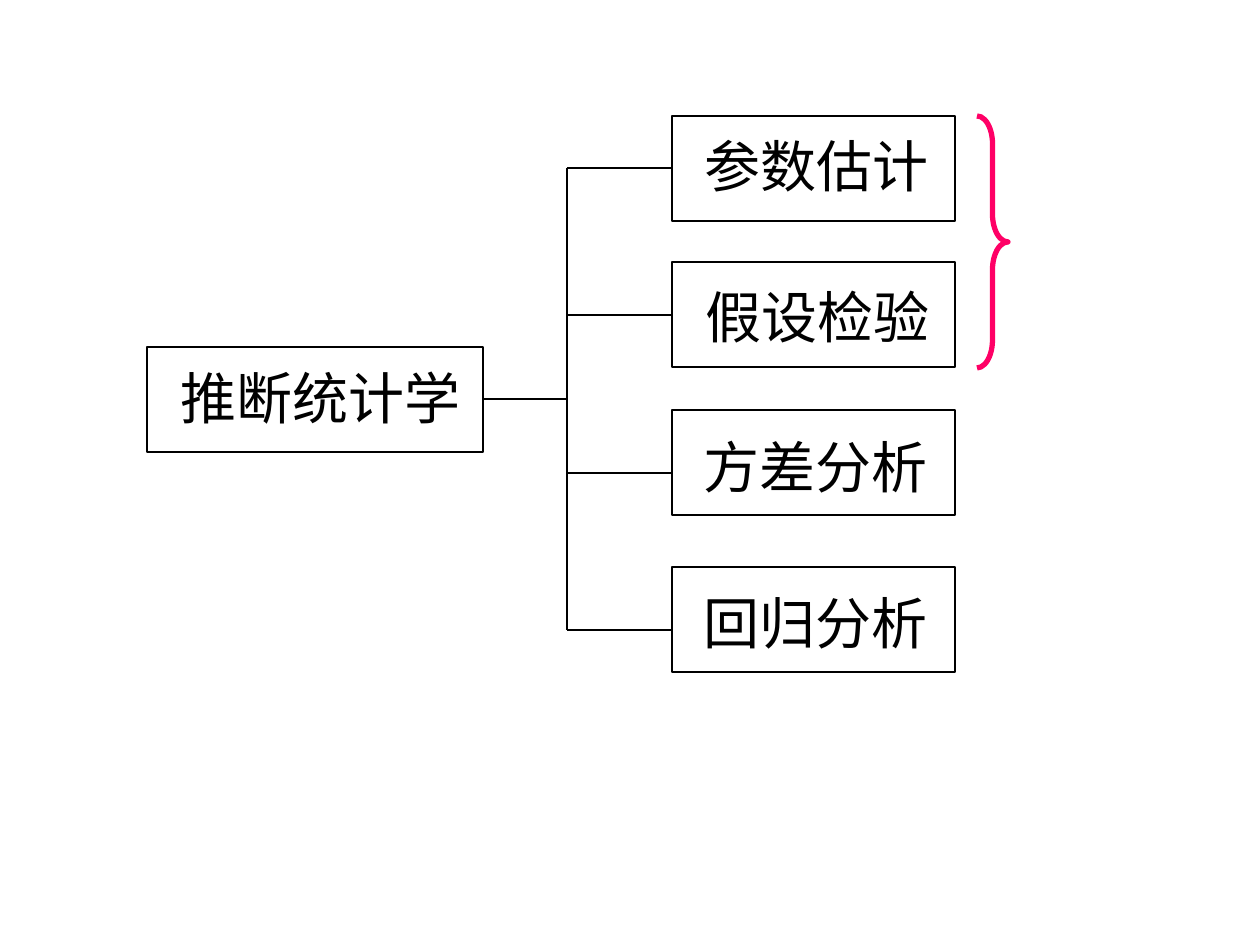
from dataclasses import dataclass
from pptx import Presentation
from pptx.dml.color import RGBColor
from pptx.enum.shapes import MSO_CONNECTOR as CONN, MSO_SHAPE as SHAPE
from pptx.enum.text import MSO_AUTO_SIZE as AUTO
from pptx.oxml.ns import qn
from pptx.util import Emu, Pt
from lxml.etree import SubElement


@dataclass(frozen=True)
class Theme:
    ink: RGBColor = RGBColor(0, 0, 0)
    accent: RGBColor = RGBColor(0xFF, 0x00, 0x66)
    font: str = "Times New Roman"
    size: float = 32
    thin: float = 0.74
    thick: float = 3


THEME = Theme()
SCALE = 914400 // 126
ROOT = ("推断统计学", (147, 347, 336, 105), (168, 357, 308, 81))
BRANCH_LEFT, BRANCH_W, BRANCH_H = 672, 283, 105
LABEL_W, LABEL_H = 252, 81
BRANCHES = [
    ("参数估计", 116, (692, 125), 168),
    ("假设检验", 262, (693, 276), 315),
    ("方差分析", 410, (691, 426), 473),
    ("回归分析", 567, (691, 582), 630),
]
TRUNK_X, ROOT_Y = 567, 399


def px(*values):
    return [Emu(v * SCALE) for v in values]


def outline(sp, color, width):
    sp.line.color.rgb = color
    sp.line.width = Pt(width)


def add_outline(slide, kind, box, color, width):
    sp = slide.shapes.add_shape(kind, *px(*box))
    sp.shadow.inherit = False
    sp.fill.background()
    outline(sp, color, width)
    return sp


def add_label(slide, text, box):
    tf = slide.shapes.add_textbox(*px(*box)).text_frame
    tf.word_wrap = False
    tf.auto_size = AUTO.SHAPE_TO_FIT_TEXT
    r = tf.paragraphs[0].add_run()
    r.text = text
    r.font.name = THEME.font
    r.font.size = Pt(THEME.size)
    r.font.color.rgb = THEME.ink


def add_node(slide, text, box, label_box):
    add_label(slide, text, label_box)
    add_outline(slide, SHAPE.RECTANGLE, box, THEME.ink, THEME.thin)


def add_line(slide, x1, y1, x2, y2):
    line = slide.shapes.add_connector(CONN.STRAIGHT, *px(x1, y1, x2, y2))
    outline(line, THEME.ink, THEME.thin)
    SubElement(line._element.spPr, qn("a:effectLst"))


def add_brace(slide, box):
    brace = add_outline(slide, SHAPE.RIGHT_BRACE, box, THEME.accent, THEME.thick)
    brace.adjustments[0] = 0.9


def main():
    prs = Presentation()
    prs.slide_width, prs.slide_height = px(1260, 945)
    slide = prs.slides.add_slide(prs.slide_layouts[6])

    for text, top, label_at, y in BRANCHES:
        add_node(slide, text, (BRANCH_LEFT, top, BRANCH_W, BRANCH_H),
                 (*label_at, LABEL_W, LABEL_H))
        add_line(slide, TRUNK_X, y, BRANCH_LEFT, y)

    add_line(slide, TRUNK_X, BRANCHES[0][-1], TRUNK_X, BRANCHES[-1][-1])
    add_line(slide, TRUNK_X, ROOT_Y, 483, ROOT_Y)
    add_node(slide, *ROOT)
    add_brace(slide, (977, 116, 31, 252))

    prs.save("out.pptx")


main()
